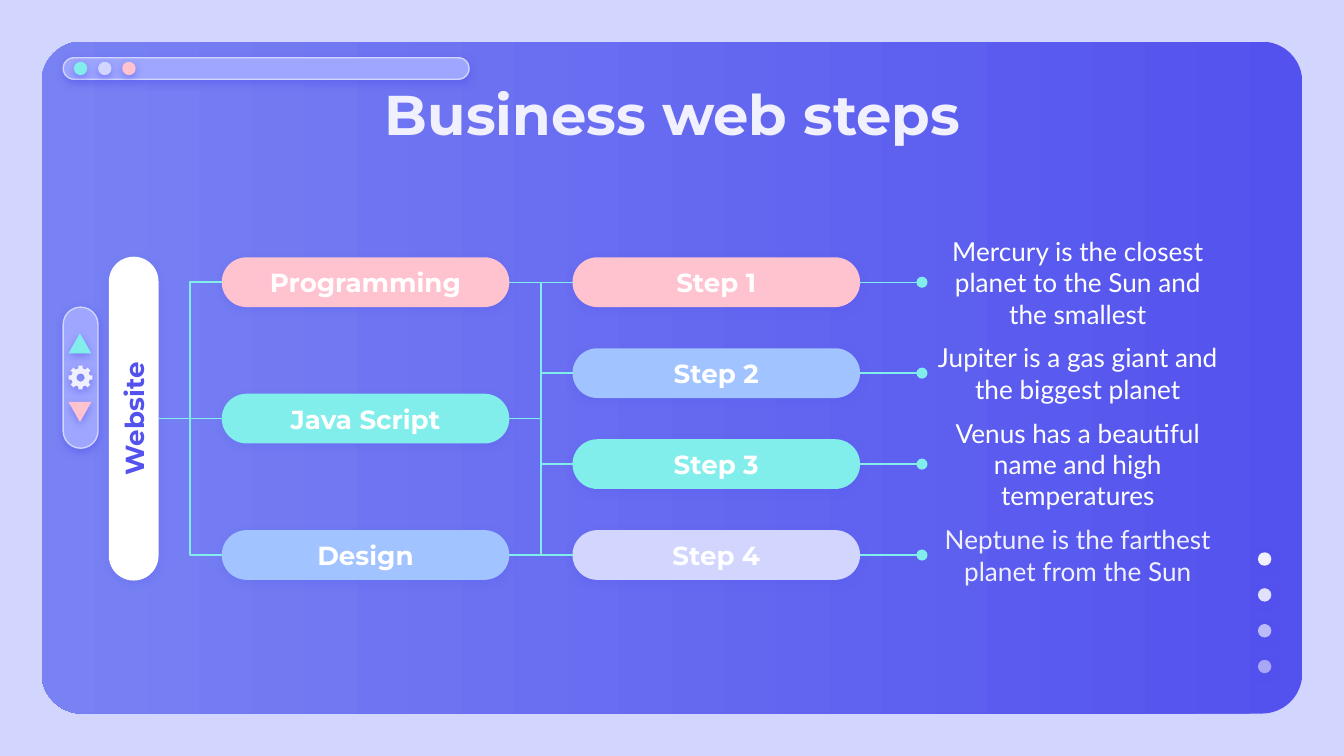
import math

import lxml.etree
import pptx
import pptx.dml.color
import pptx.enum.shapes
import pptx.enum.text
import pptx.oxml.ns
import pptx.util

Inches = pptx.util.Inches
qn = pptx.oxml.ns.qn
SHAPES = pptx.enum.shapes.MSO_SHAPE
CONNECTORS = pptx.enum.shapes.MSO_CONNECTOR

TITLE = "Business web steps"
ROOT = "Website"
TOPICS = [("Programming", "pink"), ("Java Script", "mint"), ("Design", "sky")]
STEPS = [
    ("Step 1", "pink", "Mercury is the closest planet to the Sun and the smallest", "white"),
    ("Step 2", "sky", "Jupiter is a gas giant and the biggest planet", "white"),
    ("Step 3", "mint", "Venus has a beautiful name and high temperatures", "white"),
    ("Step 4", "lilac", "Neptune is the farthest planet from the Sun", "pale"),
]
TOPIC_LINKS = [(0, 0), (0, 1), (1, 1), (1, 2), (2, 2), (2, 3)]
WINDOW_DOTS = ["mint", "lilac", "pink"]
PAGE_DOT_OPACITIES = [100, 90, 67, 54]

THEME = {
    "colors": {
        "pink": "FFC3D0", "mint": "81EEEB", "sky": "A1C3FF", "lilac": "D2D6FF",
        "white": "FFFFFF", "pale": "F1F0FF", "indigo": "5352EE",
        "violet": "7882F3", "bar": "9EA6FF",
    },
    "heading_font": "Montserrat", "body_font": "Lato",
    "title_size": 30, "text_size": 14, "line_width": 0.75,
}

SLIDE_WIDTH = 10
SLIDE_HEIGHT = SLIDE_WIDTH * 9 / 16
FIRST_ROW, LAST_ROW = 2.1, 4.13
PILL_WIDTH, PILL_HEIGHT = 2.14, 0.37
ROOT_LEFT, TOPIC_LEFT, STEP_LEFT = 0.81, 1.65, 4.26
NOTE_LEFT, NOTE_WIDTH, NOTE_HEIGHT = 6.86, 2.32, 0.55
DOT_SIZE = 0.1
TOOL_CENTER_X, TOOL_CENTER_Y = 0.6, 2.81


def color(name):
    return pptx.dml.color.RGBColor.from_string(THEME["colors"][name])


def spread(first, last, count):
    return [first + (last - first) * index / (count - 1) for index in range(count)]


def add_shadow(shape, opacity):
    effects = shape._element.spPr.find(qn("a:effectLst"))
    outer = lxml.etree.SubElement(
        effects, qn("a:outerShdw"), blurRad=str(pptx.util.Pt(4.5)),
        dist=str(pptx.util.Pt(1.5)), dir="5400000", algn="bl", rotWithShape="0")
    rgb = lxml.etree.SubElement(outer, qn("a:srgbClr"), val=THEME["colors"]["indigo"])
    lxml.etree.SubElement(rgb, qn("a:alpha"), val=str(opacity * 1000))


def paint(shape, fill, opacity=100, outline=None, shadow=50):
    shape.fill.solid()
    shape.fill.fore_color.rgb = color(fill)
    if opacity < 100:
        rgb = shape.fill._xPr.find(qn("a:solidFill"))[0]
        lxml.etree.SubElement(rgb, qn("a:alpha"), val=str(opacity * 1000))
    if outline:
        shape.line.color.rgb = color(outline)
        shape.line.width = pptx.util.Pt(THEME["line_width"])
    else:
        shape.line.fill.background()
    shape.shadow.inherit = False
    if shadow:
        add_shadow(shape, shadow)


def add_shape(slide, kind, left, top, width, height, fill, **style):
    shape = slide.shapes.add_shape(kind, *map(Inches, (left, top, width, height)))
    if kind == SHAPES.ROUNDED_RECTANGLE:
        shape.adjustments[0] = 0.5
    paint(shape, fill, **style)
    return shape


def write(shape, text, font, size, text_color, bold=False, anchor="MIDDLE"):
    frame = shape.text_frame
    frame.text = text
    frame.word_wrap = True
    frame.auto_size = pptx.enum.text.MSO_AUTO_SIZE.NONE
    frame.vertical_anchor = pptx.enum.text.MSO_ANCHOR[anchor]
    frame.margin_left = frame.margin_right = Inches(0.1)
    frame.margin_top = frame.margin_bottom = Inches(0.1)
    paragraph = frame.paragraphs[0]
    paragraph.alignment = pptx.enum.text.PP_ALIGN.CENTER
    run = paragraph.runs[0]
    run.font.name = THEME[font]
    run.font.size = pptx.util.Pt(THEME[size])
    run.font.bold = bold
    run.font.color.rgb = color(text_color)


def add_pill(slide, label, left, center_y, width, height, fill, text_color="white"):
    pill = add_shape(slide, SHAPES.ROUNDED_RECTANGLE, left, center_y - height / 2,
                     width, height, fill, shadow=18)
    write(pill, label, "heading_font", "text_size", text_color, bold=True)
    return pill


def style_connector(connector):
    connector.line.color.rgb = color("mint")
    connector.line.width = pptx.util.Pt(THEME["line_width"])
    lxml.etree.SubElement(connector._element.spPr, qn("a:effectLst"))


def link(slide, source, target):
    offset = source.top + source.height / 2 - target.top - target.height / 2
    kind = CONNECTORS.STRAIGHT if abs(offset) < Inches(0.02) else CONNECTORS.ELBOW
    connector = slide.shapes.add_connector(kind, 0, 0, 0, 0)
    connector.begin_connect(source, 3)
    connector.end_connect(target, 1)
    style_connector(connector)


def add_note(slide, step, text, text_color, center_y):
    note = slide.shapes.add_textbox(
        Inches(NOTE_LEFT), Inches(center_y - NOTE_HEIGHT / 2),
        Inches(NOTE_WIDTH), Inches(NOTE_HEIGHT))
    write(note, text, "body_font", "text_size", text_color)
    y = step.top + step.height // 2
    pointer = slide.shapes.add_connector(
        CONNECTORS.STRAIGHT, step.left + step.width, y, Inches(NOTE_LEFT), y)
    pointer.begin_connect(step, 3)
    style_connector(pointer)
    lxml.etree.SubElement(pointer.line._get_or_add_ln(), qn("a:tailEnd"), type="oval")


def polar(radius, degrees):
    angle = math.radians(degrees)
    return (Inches(TOOL_CENTER_X + radius * math.cos(angle)),
            Inches(TOOL_CENTER_Y + radius * math.sin(angle)))


def add_gear(slide):
    tooth = [(0.07, -13), (0.09, -10), (0.09, 10), (0.07, 13)]
    rim = [polar(radius, turn + shift) for turn in range(0, 360, 45) for radius, shift in tooth]
    hole = [polar(0.03, -turn) for turn in range(0, 360, 15)]
    builder = slide.shapes.build_freeform(*rim[0], scale=1.0)
    builder.add_line_segments(rim[1:], close=True)
    builder.move_to(*hole[0])
    builder.add_line_segments(hole[1:], close=True)
    paint(builder.convert_to_shape(), "pale", shadow=52)


def add_window(slide):
    slide.background.fill.solid()
    slide.background.fill.fore_color.rgb = color("lilac")
    panel = add_shape(slide, SHAPES.ROUNDED_RECTANGLE, 0.31, 0.31, 9.38, 5, "indigo", shadow=0)
    panel.adjustments[0] = 0.06
    panel.fill.gradient()
    panel.fill.gradient_angle = 180
    for stop, name in zip(panel.fill.gradient_stops, ("indigo", "violet")):
        stop.color.rgb = color(name)
    add_shape(slide, SHAPES.ROUNDED_RECTANGLE, 0.47, 0.43, 3.02, 0.16, "bar", outline="lilac")
    for index, name in enumerate(WINDOW_DOTS):
        add_shape(slide, SHAPES.OVAL, 0.55 + 0.18 * index, 0.46, DOT_SIZE, DOT_SIZE, name)
    for top, opacity in zip(spread(4.11, 4.91, len(PAGE_DOT_OPACITIES)), PAGE_DOT_OPACITIES):
        add_shape(slide, SHAPES.OVAL, 9.36, top, DOT_SIZE, DOT_SIZE, "pale", opacity=opacity)


def add_toolbar(slide):
    width, height = 0.26, 1.05
    add_shape(slide, SHAPES.ROUNDED_RECTANGLE, TOOL_CENTER_X - width / 2,
              TOOL_CENTER_Y - height / 2, width, height, "bar", outline="lilac")
    for top, name, rotation in ((2.48, "mint", 0), (2.99, "pink", 180)):
        arrow = add_shape(slide, SHAPES.ISOSCELES_TRIANGLE, 0.51, top, 0.17, 0.15, name)
        arrow.rotation = rotation
    add_gear(slide)


def main():
    presentation = pptx.Presentation()
    presentation.slide_width = Inches(SLIDE_WIDTH)
    presentation.slide_height = Inches(SLIDE_HEIGHT)
    slide = presentation.slides.add_slide(presentation.slide_layouts[5])
    add_window(slide)
    title = slide.shapes.title
    title.left, title.top, title.width, title.height = map(Inches, (0.79, 0.49, 8.43, 0.63))
    write(title, TITLE, "heading_font", "title_size", "pale", bold=True, anchor="TOP")
    slide.shapes._spTree.append(title._element)

    root = add_pill(slide, ROOT, ROOT_LEFT, (FIRST_ROW + LAST_ROW) / 2, PILL_HEIGHT, 2.41,
                    "white", "indigo")
    root.text_frame._txBody.bodyPr.set("vert", "vert270")
    topic_rows = spread(FIRST_ROW, LAST_ROW, len(TOPICS))
    topics = [add_pill(slide, label, TOPIC_LEFT, y, PILL_WIDTH, PILL_HEIGHT, fill)
              for (label, fill), y in zip(TOPICS, topic_rows)]
    steps = []
    for (label, fill, text, text_color), y in zip(STEPS, spread(FIRST_ROW, LAST_ROW, len(STEPS))):
        step = add_pill(slide, label, STEP_LEFT, y, PILL_WIDTH, PILL_HEIGHT, fill)
        add_note(slide, step, text, text_color, y)
        steps.append(step)
    for topic in topics:
        link(slide, root, topic)
    for topic_index, step_index in TOPIC_LINKS:
        link(slide, topics[topic_index], steps[step_index])
    add_toolbar(slide)
    presentation.save("out.pptx")


if __name__ == "__main__":
    main()
